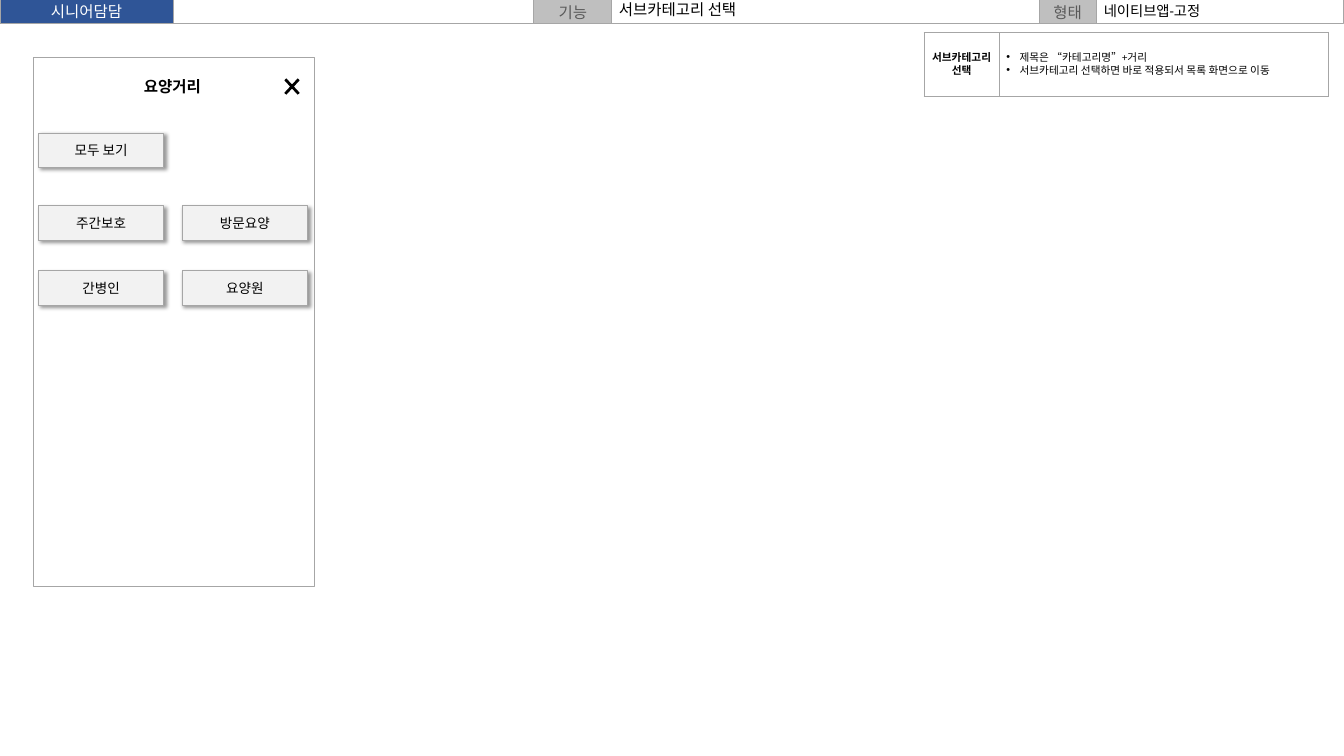
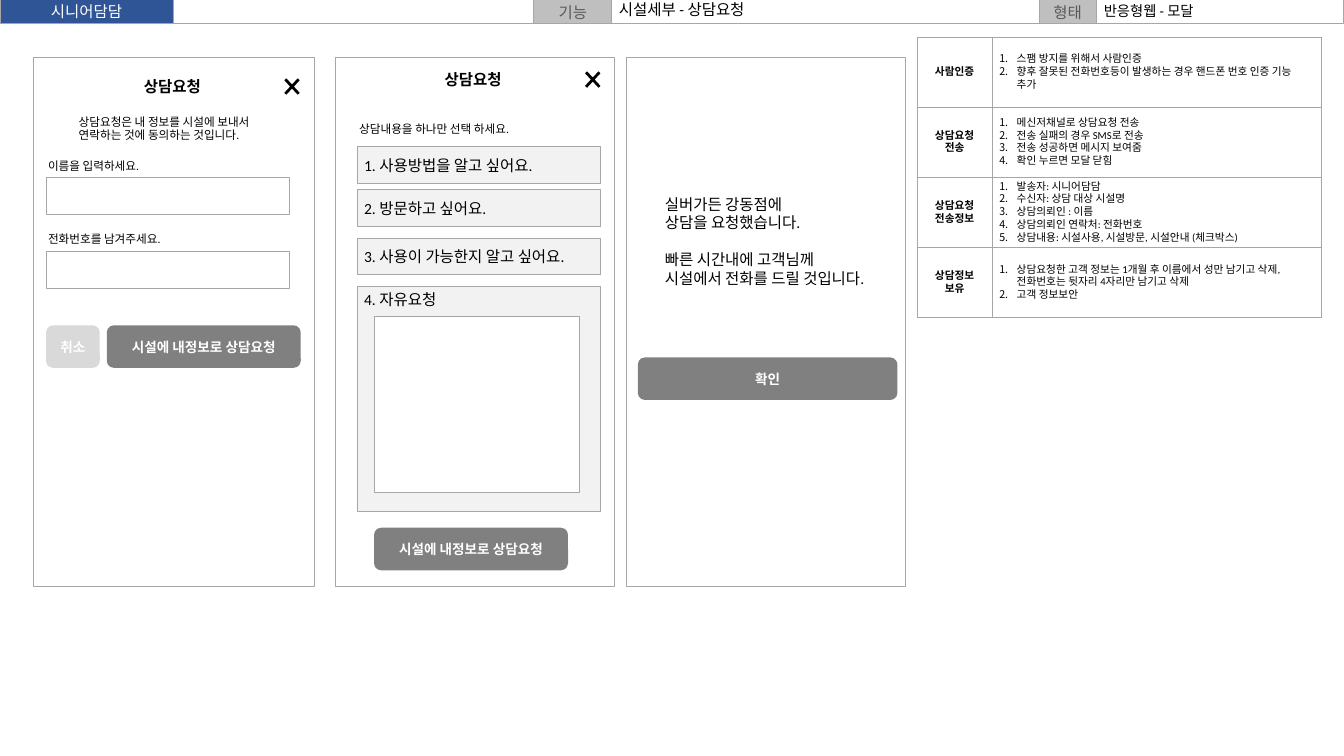
from lxml import etree
from pptx import Presentation
from pptx.dml.color import RGBColor
from pptx.enum.shapes import MSO_SHAPE as SHAPE
from pptx.enum.text import MSO_ANCHOR as ANCHOR, PP_ALIGN as ALIGN
from pptx.oxml.ns import qn
from pptx.util import Inches, Pt

FONT = "Calibri"
BLACK = RGBColor(0x00, 0x00, 0x00)
WHITE = RGBColor(0xFF, 0xFF, 0xFF)
BLUE = RGBColor(0x2F, 0x55, 0x97)
LINE_GRAY = RGBColor(0xA6, 0xA6, 0xA6)
TAG_GRAY = RGBColor(0xBF, 0xBF, 0xBF)
TAG_TEXT = RGBColor(0x59, 0x59, 0x59)
PALE = RGBColor(0xF2, 0xF2, 0xF2)
BUTTON_GRAY = RGBColor(0x80, 0x80, 0x80)
DISABLED_GRAY = RGBColor(0xD9, 0xD9, 0xD9)

SLIDE_W, SLIDE_H = 19.26, 10.83
PHONE_TOP, PHONE_H = 0.82, 7.58
OPTION_X, FIELD_W, FIELD_H = 5.12, 3.49, 0.53
LABEL_W, NOTE_W = 1.08, 4.72
NOTE_LEADING = Pt(13.2)


def add_list_mark(p, mark, indent):
    """Give a paragraph a bullet ("•") or automatic numbers ("1.")."""
    pPr = p._p.get_or_add_pPr()
    pPr.set("marL", str(Inches(indent)))
    pPr.set("indent", str(-Inches(indent)))
    if mark == "1.":
        etree.SubElement(pPr, qn("a:buAutoNum"), type="arabicPeriod")
    else:
        etree.SubElement(pPr, qn("a:buFont"), typeface="Arial")
        etree.SubElement(pPr, qn("a:buChar"), char=mark)


def write(tf, text, size=16, color=BLACK, bold=False, align=ALIGN.LEFT,
          spacing=None, mark=None, indent=0.25, gaps=None):
    """Fill a text frame, one paragraph per line; gaps maps line index to space before."""
    tf.word_wrap = True
    for i, line in enumerate(text.split("\n")):
        p = tf.add_paragraph() if i else tf.paragraphs[0]
        p.alignment = align
        p.space_before = Pt((gaps or {}).get(i, 0))
        if spacing:
            p.line_spacing = spacing
        if mark:
            add_list_mark(p, mark, indent)
        r = p.add_run()
        r.text = line
        r.font.name, r.font.size, r.font.bold = FONT, Pt(size), bold
        r.font.color.rgb = color


def add_text(s, text, x, y, w, h, anchor=ANCHOR.TOP, **fmt):
    tf = s.shapes.add_textbox(Inches(x), Inches(y), Inches(w), Inches(h)).text_frame
    tf.vertical_anchor = anchor
    write(tf, text, **fmt)


def add_box(s, x, y, w, h, fill=None, line=LINE_GRAY, kind=SHAPE.RECTANGLE,
            text=None, anchor=ANCHOR.MIDDLE, **fmt):
    sp = s.shapes.add_shape(kind, Inches(x), Inches(y), Inches(w), Inches(h))
    sp.shadow.inherit = False
    if fill is None:
        sp.fill.background()
    else:
        sp.fill.solid()
        sp.fill.fore_color.rgb = fill
    if line is None:
        sp.line.fill.background()
    else:
        sp.line.color.rgb = line
        sp.line.width = Pt(1)
    if text:
        sp.text_frame.vertical_anchor = anchor
        write(sp.text_frame, text, **fmt)
    return sp


def add_button(s, text, x, y, w, fill=BUTTON_GRAY):
    add_box(s, x, y, w, 0.61, fill, None, SHAPE.ROUNDED_RECTANGLE, text,
            size=14, color=WHITE, bold=True, align=ALIGN.CENTER)


def add_category(s, text, x, y):
    """Category tile with a soft shadow."""
    sp = add_box(s, x, y, 1.8, 0.49, PALE, text=text, size=14, align=ALIGN.CENTER)
    effects = sp._element.spPr.find(qn("a:effectLst"))
    shadow = etree.SubElement(effects, qn("a:outerShdw"), blurRad=str(Pt(4)),
                              dist=str(Pt(3)), dir=str(45 * 60000),
                              algn="tl", rotWithShape="0")
    color = etree.SubElement(shadow, qn("a:srgbClr"), val=str(BLACK))
    etree.SubElement(color, qn("a:alpha"), val="40000")


def add_phone_title(s, text, x, y, close_x):
    add_text(s, text, x, y, 1.1, 0.37, bold=True, align=ALIGN.CENTER)
    cross = add_box(s, close_x, y - 0.01, 0.37, 0.4, BLACK, None, SHAPE.MATH_MULTIPLY)
    cross.adjustments[0] = 0.107


def set_borders(cell):
    tcPr = cell._tc.get_or_add_tcPr()
    for i, side in enumerate(("lnL", "lnR", "lnT", "lnB")):
        ln = etree.Element(qn(f"a:{side}"), w=str(Pt(1)))
        fill = etree.SubElement(ln, qn("a:solidFill"))
        etree.SubElement(fill, qn("a:srgbClr"), val=str(LINE_GRAY))
        tcPr.insert(i, ln)


def add_notes_table(s, x, y, h, rows, **note_fmt):
    """Table of (label, description) rows of equal height."""
    table = s.shapes.add_table(len(rows), 2, Inches(x), Inches(y),
                               Inches(LABEL_W + NOTE_W), Inches(h)).table
    table.first_row = table.horz_banding = False
    for col, width in zip(table.columns, (LABEL_W, NOTE_W)):
        col.width = Inches(width)
    formats = (dict(bold=True, align=ALIGN.CENTER), note_fmt)
    right_margins = (0.1, 0.2)
    for i, row in enumerate(rows):
        for j, (text, fmt, margin) in enumerate(zip(row, formats, right_margins)):
            cell = table.cell(i, j)
            cell.fill.background()
            cell.vertical_anchor = ANCHOR.MIDDLE
            cell.margin_top = cell.margin_bottom = Inches(0.02)
            cell.margin_right = Inches(margin)
            write(cell.text_frame, text, size=11, spacing=NOTE_LEADING, **fmt)
            set_borders(cell)


def add_screen_slide(prs, feature, form, phone_title):
    """Slide with the header band and the first phone frame."""
    s = prs.slides.add_slide(prs.slide_layouts[5])
    add_box(s, 0, 0, SLIDE_W, 0.34)
    add_box(s, 0, -0.02, 2.48, 0.36, BLUE, text="시니어담담",
            color=WHITE, align=ALIGN.CENTER)
    for text, x, w in (("기능", 7.65, 1.12), ("형태", 14.89, 0.82)):
        add_box(s, x, 0, w, 0.34, TAG_GRAY, text=text,
                color=TAG_TEXT, align=ALIGN.CENTER)

    title = s.shapes.title
    title.left, title.top = Inches(8.77), Inches(0)
    title.width, title.height = Inches(6.12), Inches(0.32)
    title.text_frame.vertical_anchor = ANCHOR.MIDDLE
    write(title.text_frame, feature, spacing=0.8)
    add_text(s, form, 15.72, 0.02, 3.54, 0.31, ANCHOR.MIDDLE, size=14.8, spacing=0.8)

    add_box(s, 0.48, 0.83, 4.02, 7.57)
    add_phone_title(s, phone_title, 1.92, 1.05, 4)
    return s


def build_category_slide(prs):
    s = add_screen_slide(prs, "서브카테고리 선택", "네이티브앱-고정", "요양거리")
    left, right = 0.55, 2.61
    for text, x, y in (("모두 보기", left, 1.91),
                       ("주간보호", left, 2.95), ("방문요양", right, 2.95),
                       ("간병인", left, 3.88), ("요양원", right, 3.88)):
        add_category(s, text, x, y)
    add_notes_table(s, 13.24, 0.47, 0.91, [
        ("서브카테고리 선택",
         "제목은 “카테고리명”+거리\n"
         "서브카테고리 선택하면 바로 적용되서 목록 화면으로 이동"),
    ], mark="•", indent=0.19)


def add_contact_form(s):
    add_text(s, "상담요청은 내 정보를 시설에 보내서 연락하는 것에 동의하는 것입니다.",
             1.03, 1.59, 2.9, 0.5, size=12)
    for label, y in (("이름을 입력하세요.", 2.22), ("전화번호를 남겨주세요.", 3.28)):
        add_text(s, label, 0.59, y, 2.2, 0.3, size=12)
        add_box(s, 0.66, y + 0.33, FIELD_W, FIELD_H)
    add_button(s, "취소", 0.66, 4.66, 0.77, DISABLED_GRAY)
    add_button(s, "시설에 내정보로 상담요청", 1.53, 4.66, 2.78)


def add_request_options(s):
    add_box(s, 4.81, PHONE_TOP, 4, PHONE_H)
    add_phone_title(s, "상담요청", 6.23, 0.95, 8.31)
    add_text(s, "상담내용을 하나만 선택 하세요.", 5.05, 1.7, 2.8, 0.3, size=12)
    for text, y in (("1. 사용방법을 알고 싶어요.", 2.1),
                    ("2. 방문하고 싶어요.", 2.72),
                    ("3. 사용이 가능한지 알고 싶어요.", 3.41)):
        add_box(s, OPTION_X, y, FIELD_W, FIELD_H, PALE, text=text)
    add_box(s, OPTION_X, 4.1, FIELD_W, 3.23, PALE, text="4. 자유요청", anchor=ANCHOR.TOP)
    add_box(s, 5.36, 4.54, 2.95, 2.52, WHITE)
    add_button(s, "시설에 내정보로 상담요청", 5.36, 7.56, 2.78)


def add_confirmation(s):
    add_box(s, 8.98, PHONE_TOP, 4, PHONE_H)
    add_text(s, "실버가든 강동점에\n상담을 요청했습니다.\n"
                "빠른 시간내에 고객님께 시설에서 전화를 드릴 것입니다.",
             9.43, 2.74, 3.18, 1.72, gaps={2: 19})
    add_button(s, "확인", 9.14, 5.12, 3.72)


def build_request_slide(prs):
    s = add_screen_slide(prs, "시설세부 - 상담요청", "반응형웹 - 모달", "상담요청")
    add_contact_form(s)
    add_request_options(s)
    add_confirmation(s)
    add_notes_table(s, 13.14, 0.53, 4.02, [
        ("사람인증",
         "스팸 방지를 위해서 사람인증\n"
         "향후 잘못된 전화번호등이 발생하는 경우 핸드폰 번호 인증 기능 추가"),
        ("상담요청\n전송",
         "메신저채널로 상담요청 전송\n전송 실패의 경우 SMS로 전송\n"
         "전송 성공하면 메시지 보여줌\n확인 누르면 모달 닫힘"),
        ("상담요청\n전송정보",
         "발송자: 시니어담담\n수신자: 상담 대상 시설명\n상담의뢰인 : 이름\n"
         "상담의뢰인 연락처: 전화번호\n"
         "상담내용: 시설사용, 시설방문, 시설안내 (체크박스)"),
        ("상담정보 보유",
         "상담요청한 고객 정보는 1개월 후 이름에서 성만 남기고 삭제, "
         "전화번호는 뒷자리 4자리만 남기고 삭제\n고객 정보보안"),
    ], mark="1.")


def main():
    prs = Presentation()
    prs.slide_width, prs.slide_height = Inches(SLIDE_W), Inches(SLIDE_H)
    build_category_slide(prs)
    build_request_slide(prs)
    prs.save("out.pptx")


if __name__ == "__main__":
    main()
